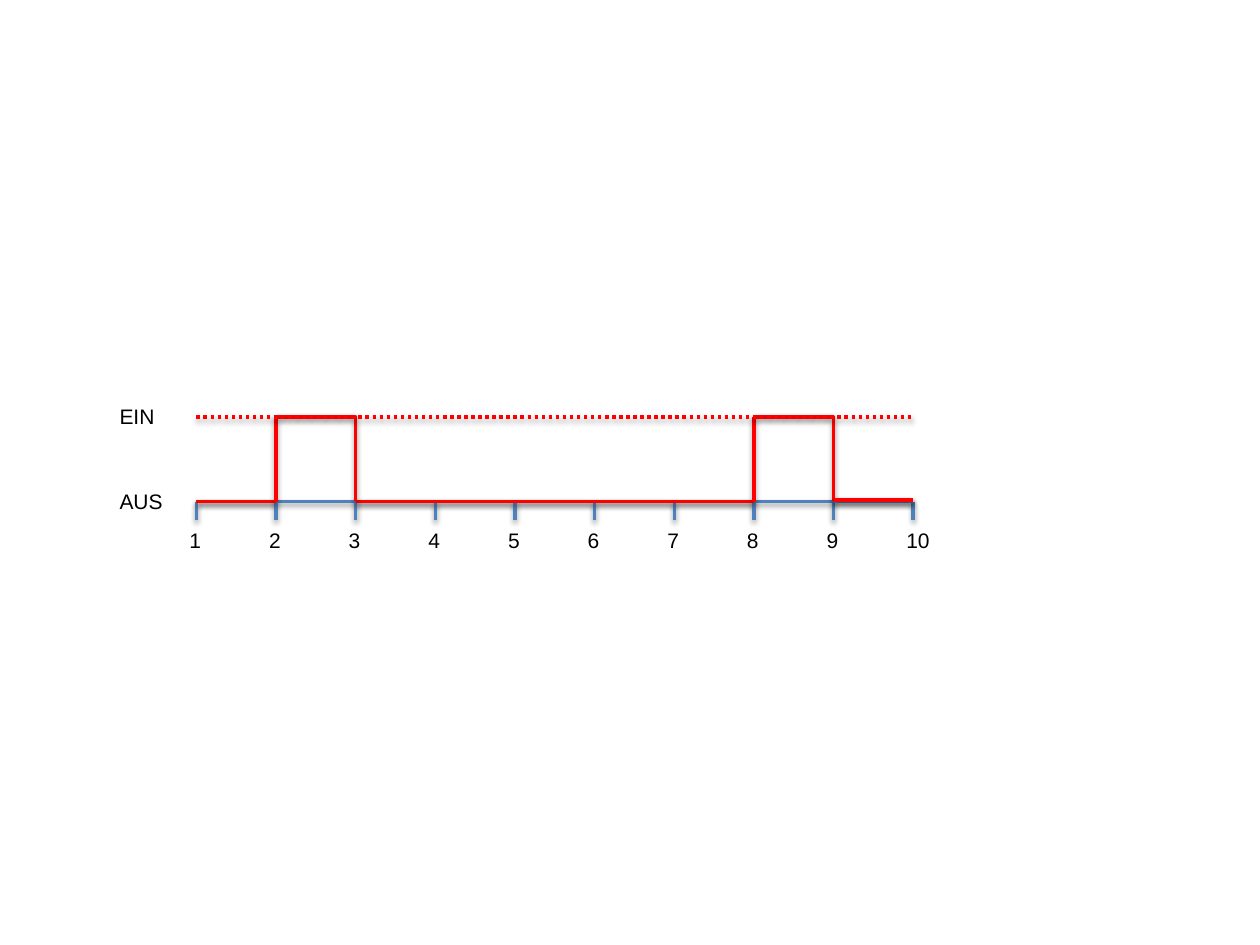
from lxml import etree
from pptx import Presentation
from pptx import util as u
from pptx.dml.color import RGBColor
from pptx.enum import dml, shapes, text
from pptx.oxml import parse_xml
from pptx.oxml.ns import nsdecls, qn

# Content: time steps, levels and the switching signal
STEPS = range(1, 11)
LEVELS = {"EIN": 8.41, "AUS": 10.11}
PULSES = [(2, 3), (8, 9)]
LOW_PHASES = [(1, 2), (3, 7), (7, 8)]
END_PHASE = (9, 10)

BLUE = RGBColor(0x4F, 0x81, 0xBD)
RED = RGBColor(0xFF, 0x00, 0x00)
BLACK = RGBColor(0x00, 0x00, 0x00)

# Layout in centimetres
AXIS_LEFT, AXIS_WIDTH = 3.96, 14.45
HIGH, LOW = LEVELS["EIN"], LEVELS["AUS"]
END_LOW = 10.08
TICK_BOTTOM = 10.49
STEP = AXIS_WIDTH / (len(STEPS) - 1)

SHADOW = (
    f'<a:effectLst {nsdecls("a")}>'
    '<a:outerShdw blurRad="40000" dist="20000" dir="5400000" rotWithShape="0">'
    '<a:srgbClr val="000000"><a:alpha val="38000"/></a:srgbClr>'
    '</a:outerShdw></a:effectLst>'
)

deck = Presentation()
deck.slide_width, deck.slide_height = u.Cm(25.4), u.Cm(19.05)
page = deck.slides.add_slide(deck.slide_layouts[6])


def step_x(step):
    return AXIS_LEFT + (step - 1) * STEP


def add_line(x1, y1, x2, y2, color, kind=shapes.MSO_CONNECTOR.STRAIGHT):
    line = page.shapes.add_connector(
        kind, u.Cm(x1), u.Cm(y1), u.Cm(x2), u.Cm(y2))
    line.line.color.rgb = color
    line.line.width = u.Pt(2)
    line._element.spPr.append(parse_xml(SHADOW))
    return line


def add_pulse_top(start, end):
    """Draw the high level and the falling edge as one turned elbow."""
    width, height = end - start, LOW - HIGH
    middle_x, middle_y = (start + end) / 2, (HIGH + LOW) / 2
    elbow = add_line(middle_x - height / 2, middle_y - width / 2,
                     middle_x + height / 2, middle_y + width / 2,
                     RED, shapes.MSO_CONNECTOR.ELBOW)
    properties = elbow._element.spPr
    frame = properties.find(qn("a:xfrm"))
    frame.set("rot", "16200000")
    frame.set("flipH", "1")
    guides = properties.find(qn("a:prstGeom")).find(qn("a:avLst"))
    etree.SubElement(guides, qn("a:gd"), name="adj1", fmla="val 0")


def add_label(label, left, top, width):
    box = page.shapes.add_textbox(
        u.Cm(left), u.Cm(top), u.Cm(width), u.Cm(0.77))
    box.text_frame.word_wrap = True
    box.text_frame.auto_size = text.MSO_AUTO_SIZE.SHAPE_TO_FIT_TEXT
    para = box.text_frame.paragraphs[0]
    para.text = label
    para.font.name = "Arial"
    para.font.size = u.Pt(12)
    para.font.color.rgb = BLACK


# Time axis with ticks
for step in STEPS:
    x = step_x(step)
    if step < END_PHASE[0]:
        add_line(x, LOW, x + STEP, LOW, BLUE)
    add_line(x, LOW, x, TICK_BOTTOM, BLUE)

# Switching signal
for first, last in LOW_PHASES:
    add_line(step_x(first), LOW, step_x(last), LOW, RED)
for first, last in PULSES:
    add_line(step_x(first), HIGH, step_x(first), LOW, RED)
    add_pulse_top(step_x(first), step_x(last))
for y, color in [(LOW, BLUE), (END_LOW, BLUE), (END_LOW, RED)]:
    add_line(step_x(END_PHASE[0]), y, step_x(END_PHASE[1]), y, color)

# Step numbers and level names
for step in STEPS:
    add_label(str(step), step_x(step) - 0.39, 10.52, 0.78 if step < 10 else 1.17)
for name, y in LEVELS.items():
    add_label(name, 2.16, y - 0.39, 1.4)

# Dotted guide at the high level
guide = add_line(step_x(1), HIGH, step_x(10), HIGH, RED)
guide.line.dash_style = dml.MSO_LINE.ROUND_DOT

deck.save("out.pptx")
